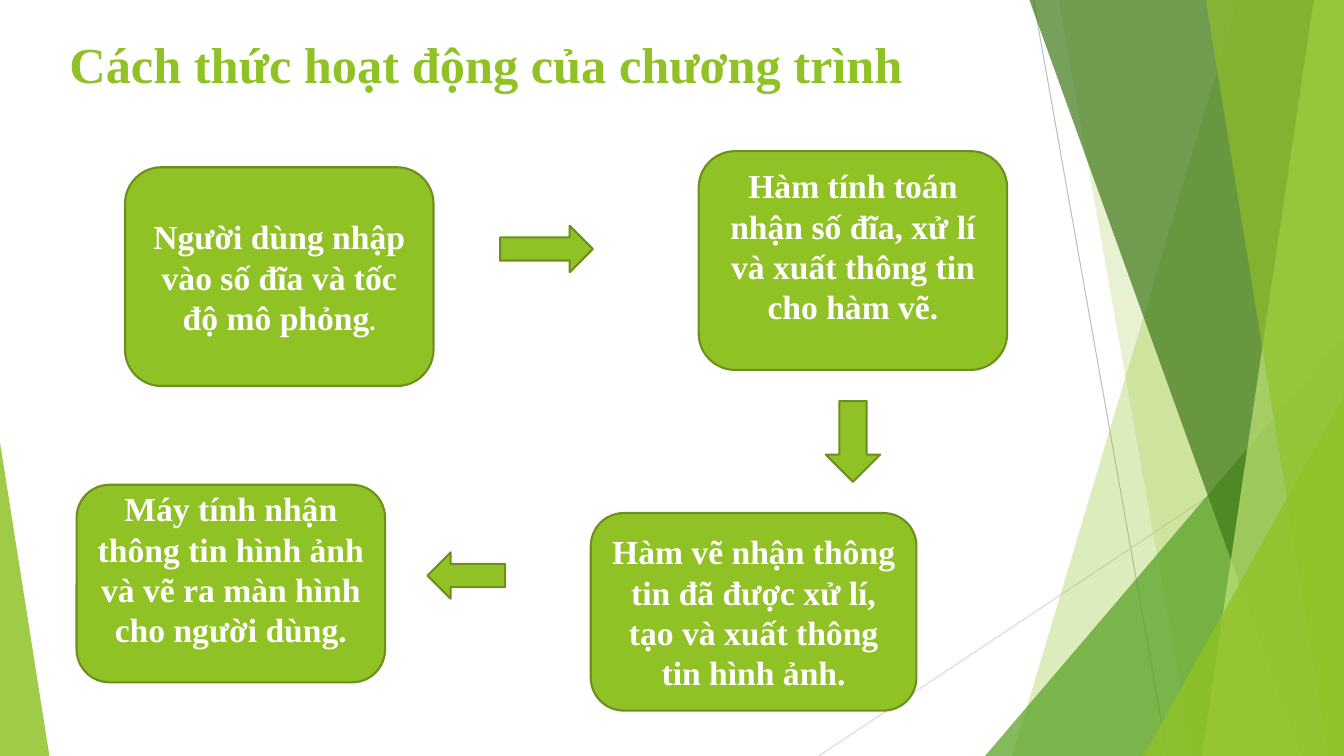
"""Build the slide on how the program works: four steps joined by block arrows."""
from lxml import etree
from pptx import Presentation
from pptx.dml.color import RGBColor
from pptx.enum.shapes import MSO_CONNECTOR, MSO_SHAPE
from pptx.enum.text import MSO_ANCHOR, PP_ALIGN
from pptx.oxml.ns import qn
from pptx.util import Inches, Pt

STRAIGHT = MSO_CONNECTOR.STRAIGHT
TRIANGLE = MSO_SHAPE.ISOSCELES_TRIANGLE
ROUNDED = MSO_SHAPE.ROUNDED_RECTANGLE
RIGHT, LEFT, DOWN = MSO_SHAPE.RIGHT_ARROW, MSO_SHAPE.LEFT_ARROW, MSO_SHAPE.DOWN_ARROW
MIDDLE, TOP = MSO_ANCHOR.MIDDLE, MSO_ANCHOR.TOP
CENTER, START = PP_ALIGN.CENTER, PP_ALIGN.LEFT

THEME = {
    "lime": "90C226", "edge": "6B901C", "leaf": "54A021", "forest": "3F7819",
    "pale": "C0E474", "white": "FFFFFF", "font": "Times New Roman",
    "title": 36, "step": 24, "stop": 18, "outline": 1.5, "hairline": 0.75,
}
WIDTH, HEIGHT = 13.33, 7.5

deck = Presentation()
deck.slide_width, deck.slide_height = Inches(WIDTH), Inches(HEIGHT)
slide = deck.slides.add_slide(deck.slide_layouts[6])
shapes = slide.shapes


def paint(shape, color, opacity=100, edge=None):
    """Fill a shape, with an outline only when an edge colour is given."""
    shape.shadow.inherit = False
    shape.fill.solid()
    shape.fill.fore_color.rgb = RGBColor.from_string(THEME[color])
    if opacity < 100:
        tint = shape.fill._xPr.find(qn("a:solidFill"))[0]
        etree.SubElement(tint, qn("a:alpha"), val=str(opacity * 1000))
    if edge:
        shape.line.color.rgb = RGBColor.from_string(THEME[edge])
        shape.line.width = Pt(THEME["outline"])
    else:
        shape.line.fill.background()


def write(shape, runs, color, align, anchor, bottom=0.05):
    """Put one bold paragraph, made of (text, size) runs, into a shape."""
    frame = shape.text_frame
    layout = {"word_wrap": True, "vertical_anchor": anchor, "margin_bottom": Inches(bottom)}
    for key, value in layout.items():
        setattr(frame, key, value)
    paragraph = frame.paragraphs[0]
    paragraph.alignment = align
    for text, size in runs:
        run = paragraph.add_run()
        run.text = text
        style = {"name": THEME["font"], "size": Pt(THEME[size]), "bold": True}
        for key, value in style.items():
            setattr(run.font, key, value)
        run.font.color.rgb = RGBColor.from_string(THEME[color])


hairlines = [((10.25, 0), (11.58, HEIGHT), "BFBFBF"), ((WIDTH, 4.03), (8.12, HEIGHT), "D9D9D9")]
for begin, end, gray in hairlines:
    hairline = shapes.add_connector(STRAIGHT, *map(Inches, begin + end))
    hairline.line.color.rgb = RGBColor.from_string(gray)
    hairline.line.width = Pt(THEME["hairline"])
    etree.SubElement(hairline._element.spPr, qn("a:effectLst"))

# Each band runs from its slanted left side to the right margin; each peak stands on the bottom.
facets = [
    ("band", 12.28, 10.04, "lime", 30),
    ("band", 10.5, 11.83, "lime", 20),
    ("peak", 9.77, 3.33, "leaf", 72),
    ("band", 10.21, 12.91, "forest", 70),
    ("band", 13.03, 11.92, "pale", 70),
    ("band", 11.96, 13.18, "lime", 65),
    ("peak", 11.34, 3.93, "lime", 80),
]
for kind, first, second, color, opacity in facets:
    if kind == "band":
        outline = shapes.build_freeform(Inches(first), 0)
        corners = [(WIDTH, 0), (WIDTH, HEIGHT), (second, HEIGHT)]
        outline.add_line_segments([(Inches(x), Inches(y)) for x, y in corners], close=True)
        facet = outline.convert_to_shape()
    else:
        peak_box = (first, second, WIDTH - first, HEIGHT - second)
        facet = shapes.add_shape(TRIANGLE, *map(Inches, peak_box))
        facet.adjustments[0] = 1
    paint(facet, color, opacity)

left_wedge = shapes.add_shape(TRIANGLE, *map(Inches, (0, 4.39, 0.49, HEIGHT - 4.39)))
left_wedge.adjustments[0] = 0
paint(left_wedge, "lime", 85)

title = shapes.add_textbox(*map(Inches, (0.59, 0.28, 9.4, 1.44)))
write(title, [("Cách thức hoạt động của chương trình", "title")], "lime", START, TOP)

steps = [
    ((1.24, 1.66, 3.06, 2.17), 0.05,
     [("Người dùng nhập vào số đĩa và tốc độ mô phỏng", "step"), (".", "stop")]),
    ((6.93, 1.5, 3.06, 2.17), 0.34,
     [("Hàm tính toán nhận số đĩa, xử lí và xuất thông tin cho hàm vẽ.", "step")]),
    ((5.86, 5.09, 3.23, 1.96), 0.05,
     [("Hàm vẽ nhận thông tin đã được xử lí, tạo và xuất thông tin hình ảnh.", "step")]),
    ((0.76, 4.81, 3.06, 1.96), 0.34,
     [("Máy tính nhận thông tin hình ảnh và vẽ ra màn hình cho người dùng.", "step")]),
]
for box, bottom, runs in steps:
    step = shapes.add_shape(ROUNDED, *map(Inches, box))
    paint(step, "lime", edge="edge")
    write(step, runs, "white", CENTER, MIDDLE, bottom)

arrows = [
    (RIGHT, (4.96, 2.24, 0.92, 0.46)),
    (DOWN, (8.19, 3.98, 0.54, 0.8)),
    (LEFT, (4.24, 5.48, 0.77, 0.46)),
]
for direction, box in arrows:
    paint(shapes.add_shape(direction, *map(Inches, box)), "lime", edge="edge")

deck.save("out.pptx")
